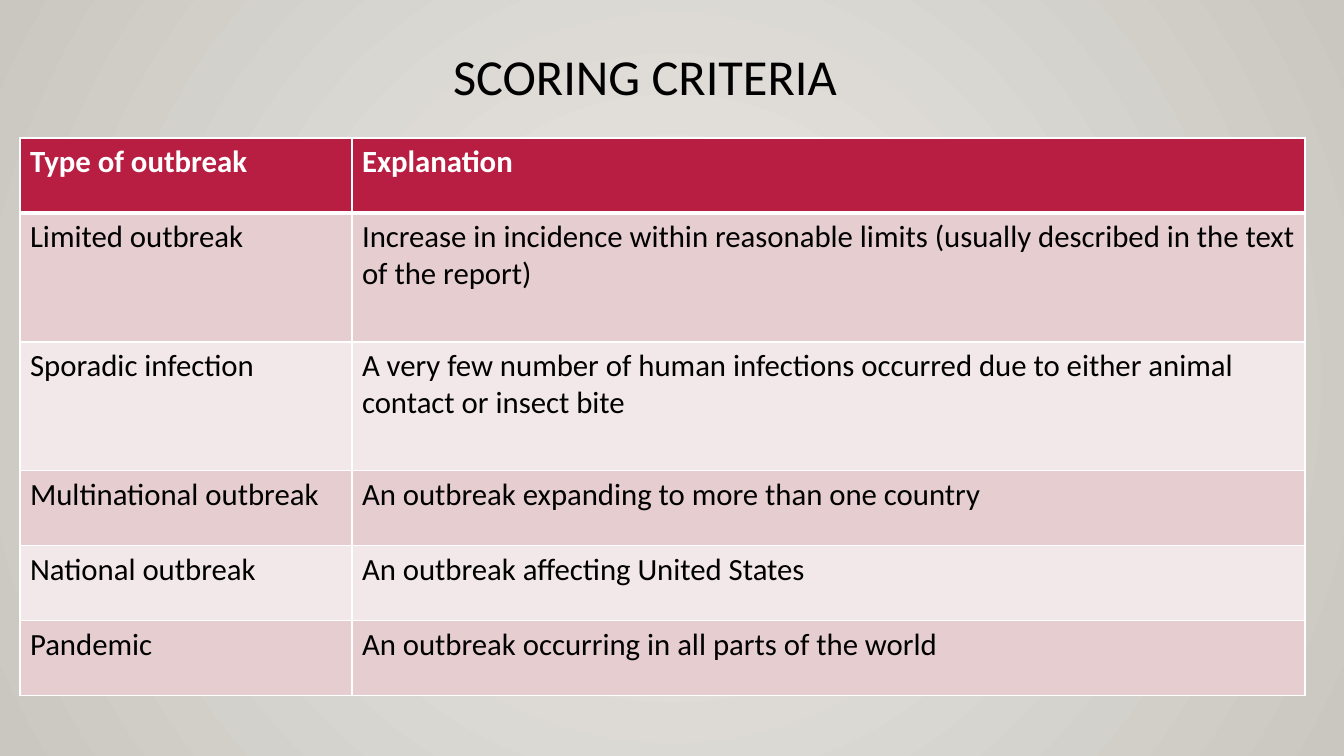
from lxml.etree import SubElement
from pptx import Presentation
from pptx.dml.color import RGBColor
from pptx.enum.text import MSO_ANCHOR, PP_ALIGN
from pptx.oxml.ns import qn
from pptx.util import Pt

EMU_PER_PX = 914400 / 100.8
FONT = "Calibri"
BLACK = RGBColor(0x00, 0x00, 0x00)
WHITE = RGBColor(0xFF, 0xFF, 0xFF)
CRIMSON = RGBColor(0xB7, 0x1E, 0x42)
ROSE = RGBColor(0xE6, 0xCD, 0xCF)
PALE_ROSE = RGBColor(0xF3, 0xE8, 0xE9)
GLOW = RGBColor(0xEC, 0xEA, 0xE7)
STONE = RGBColor(0xCA, 0xC7, 0xC1)

COLUMN_WIDTHS = (332, 953)
SHORT_ROW, TALL_ROW = 75, 129
CRITERIA = [
    ("Type of outbreak", "Explanation", SHORT_ROW),
    ("Limited outbreak", "Increase in incidence within reasonable limits "
     "(usually described in the text of the report)", TALL_ROW),
    ("Sporadic infection", "A very few number of human infections occurred "
     "due to either animal contact or insect bite", TALL_ROW),
    ("Multinational outbreak", "An outbreak expanding to more than one country", SHORT_ROW),
    ("National outbreak", "An outbreak affecting United States", SHORT_ROW),
    ("Pandemic", "An outbreak occurring in all parts of the world", SHORT_ROW),
]


def px(length):
    return round(length * EMU_PER_PX)


def add_span(para, text, size, color, bold=False):
    span = para.add_run()
    span.text = text
    span.font.name = FONT
    span.font.size = Pt(size)
    span.font.bold = bold
    span.font.color.rgb = color


def paint_background(page):
    fill = page.background.fill
    fill.gradient()
    for stop, color in zip(fill.gradient_stops, (GLOW, STONE)):
        stop.color.rgb = color
    # Turn the linear gradient into a circular one around the centre
    gradient = page.element.find(".//" + qn("a:gradFill"))
    gradient.remove(gradient.find(qn("a:lin")))
    circle = SubElement(gradient, qn("a:path"), path="circle")
    SubElement(circle, qn("a:fillToRect"), dict.fromkeys("ltrb", "50000"))


def place_title(page, left, top, width, height):
    title = page.shapes.title
    title.left, title.top = px(left), px(top)
    title.width, title.height = px(width), px(height)
    frame = title.text_frame
    frame.word_wrap = True
    frame.vertical_anchor = MSO_ANCHOR.MIDDLE
    para = frame.paragraphs[0]
    para.alignment = PP_ALIGN.LEFT
    para.line_spacing = 0.9
    add_span(para, "SCORING CRITERIA", 36, BLACK)


def add_borders(cell, top, bottom):
    properties = cell._tc.get_or_add_tcPr()
    borders = (("a:lnL", 1), ("a:lnR", 1), ("a:lnT", top), ("a:lnB", bottom))
    for position, (side, points) in enumerate(borders):
        line = SubElement(properties, qn(side), w=str(Pt(points)))
        SubElement(SubElement(line, qn("a:solidFill")), qn("a:srgbClr"), val=str(WHITE))
        # Borders come before the cell fill
        properties.insert(position, line)


def add_criteria_table(page, left, top):
    heights = [height for *_, height in CRITERIA]
    table = page.shapes.add_table(
        len(CRITERIA), len(COLUMN_WIDTHS), px(left), px(top),
        px(sum(COLUMN_WIDTHS)), px(sum(heights))).table
    table.horz_banding = False
    for column, width in zip(table.columns, COLUMN_WIDTHS):
        column.width = px(width)
    for index, (*texts, height) in enumerate(CRITERIA):
        table.rows[index].height = px(height)
        header = index == 0
        band = CRIMSON if header else (PALE_ROSE, ROSE)[index % 2]
        for cell, text in zip(table.rows[index].cells, texts):
            cell.fill.solid()
            cell.fill.fore_color.rgb = band
            add_span(cell.text_frame.paragraphs[0], text, 22,
                     WHITE if header else BLACK, header)
            add_borders(cell, 3 if index == 1 else 1, 3 if header else 1)


def main():
    deck = Presentation()
    deck.slide_width, deck.slide_height = px(1344), px(756)
    page = deck.slides.add_slide(deck.slide_layouts.get_by_name("Title Only"))
    paint_background(page)
    place_title(page, 443, 45, 493, 68)
    add_criteria_table(page, 20, 138)
    deck.save("out.pptx")


if __name__ == "__main__":
    main()
